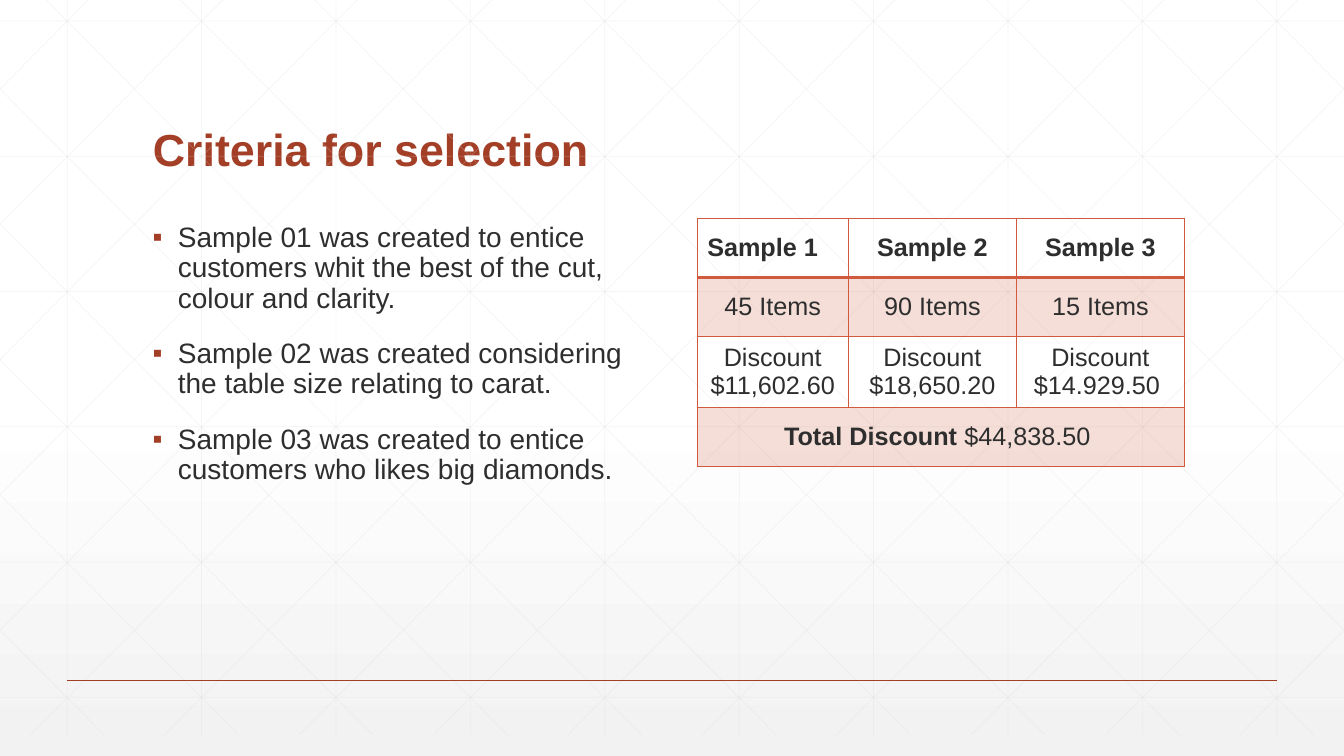
from lxml import etree
from pptx import Presentation
from pptx import util as u
from pptx.dml.color import RGBColor
from pptx.enum import shapes, text
from pptx.oxml import ns

UNIT = u.Inches(1) // 12
COLUMNS, ROWS = 160, 90
FONT = "Arial"
COLORS = {"rust": "A43F27", "coral": "D15A3E", "ink": "2D2E2D",
          "lattice": "D9D9D9", "white": "FFFFFF", "mist": "F2F2F2"}
TITLE = "Criteria for selection"
CRITERIA = [
    "Sample 01 was created to entice customers whit the best of the cut, colour and clarity.",
    "Sample 02 was created considering the table size relating to carat.",
    "Sample 03 was created to entice customers who likes big diamonds.",
]
SAMPLES = [
    ["Sample 1", "Sample 2", "Sample 3"],
    ["45 Items", "90 Items", "15 Items"],
    ["Discount\n$11,602.60", "Discount\n$18,650.20", "Discount\n$14.929.50 "],
]
TOTAL = [("Total Discount ", True), ("$44,838.50 ", False)]


def grid(*values):
    return [u.Emu(round(v * UNIT)) for v in values]


def apply(target, values):
    for name, value in values.items():
        setattr(target, name, value)


def child(parent, tag, **attrs):
    return etree.SubElement(parent, ns.qn(tag), {k: str(v) for k, v in attrs.items()})


def add_color(parent, name, alpha=100):
    color = child(parent, "a:srgbClr", val=COLORS[name])
    if alpha < 100:
        child(color, "a:alpha", val=alpha * 1000)


def write(p, content, size, color, bold=False):
    for i, line in enumerate(content.split("\n")):
        if i:
            p.add_line_break()
        r = p.add_run()
        r.text = line
        apply(r.font, {"name": FONT, "size": u.Pt(size), "bold": bold})
        r.font.color.rgb = RGBColor.from_string(COLORS[color])


def add_line(parent, start, end, color, width, alpha=100):
    line = parent.add_connector(shapes.MSO_CONNECTOR.STRAIGHT, *grid(*start, *end))
    line.line.width = u.Pt(width)
    fill = child(line.line._get_or_add_ln(), "a:solidFill")
    add_color(fill, color, alpha)
    child(line._element.spPr, "a:effectLst")


def add_background(s):
    fill = s.background.fill
    fill.gradient()
    fill.gradient_angle = 270
    stops = next(s._element.iter(ns.qn("a:gsLst")))
    for stop in list(stops):
        stops.remove(stop)
    for position, color, alpha in ((0, "white", 100), (53, "white", 100), (100, "mist", 65)):
        add_color(child(stops, "a:gs", pos=position * 1000), color, alpha)


def add_lattice(s, left, top, width, height, pitch=16):
    right, bottom = left + width, top + height
    lines = []
    for i in range(10):
        x = left + pitch * (i + 0.5)
        lines.append(((x, top), (x, bottom)))
    for i in range(6):
        y = top + 5 + 16.1 * i
        lines.append(((left, y), (right, y)))
    run = 89.4
    for i in range(-5, 10):
        offset = 3 + pitch * i
        first, last = max(0, -offset / run), min(1, (width - offset) / run)
        ends = [(offset + run * t, top + height * t) for t in (first, last)]
        lines.append([(left + x, y) for x, y in ends])
        lines.append([(right - x, y) for x, y in ends])
    group = s.shapes.add_group_shape()
    for start, end in lines:
        add_line(group.shapes, start, end, "lattice", 0.5, 25)


def add_title(s, *box):
    title = s.shapes.title
    apply(title, dict(zip(("left", "top", "width", "height"), grid(*box))))
    tf = title.text_frame
    apply(tf, {"vertical_anchor": text.MSO_ANCHOR.BOTTOM, "word_wrap": True,
               "auto_size": text.MSO_AUTO_SIZE.NONE})
    p = tf.paragraphs[0]
    apply(p, {"alignment": text.PP_ALIGN.LEFT, "line_spacing": 0.9})
    write(p, TITLE, 32, "rust", True)


def add_criteria(s, *box):
    tf = s.shapes.add_textbox(*grid(*box)).text_frame
    tf.word_wrap = True
    for i, criterion in enumerate(CRITERIA):
        p = tf.add_paragraph() if i else tf.paragraphs[0]
        apply(p, {"line_spacing": 0.9, "space_before": u.Pt(18)})
        pPr = p._p.get_or_add_pPr()
        indent = u.Inches(0.25)
        pPr.set("marL", str(indent))
        pPr.set("indent", str(-indent))
        add_color(child(pPr, "a:buClr"), "rust")
        child(pPr, "a:buFont", typeface=FONT)
        child(pPr, "a:buChar", char="▪")
        write(p, criterion, 20, "ink")


def style_cell(cell, row):
    tcPr = cell._tc.get_or_add_tcPr()
    widths = {"L": 1, "R": 1, "T": 2 if row == 1 else 1, "B": 2 if row == 0 else 1}
    for side, width in widths.items():
        border = child(tcPr, "a:ln" + side, w=u.Pt(width))
        add_color(child(border, "a:solidFill"), "coral")
    if row % 2:
        add_color(child(tcPr, "a:solidFill"), "coral", 20)
    else:
        cell.fill.background()
    cell.vertical_anchor = text.MSO_ANCHOR.MIDDLE


def add_samples(s, left, top, width, height):
    row_count, column_count = len(SAMPLES) + 1, len(SAMPLES[0])
    table = s.shapes.add_table(row_count, column_count, *grid(left, top, width, height)).table
    apply(table, {"first_row": False, "horz_banding": False})
    for column, share in zip(table.columns, (18, 20, 20)):
        column.width = grid(width * share / 58)[0]
    for r, row in enumerate(table.rows):
        row.height = grid(height / row_count)[0]
        for cell in row.cells:
            style_cell(cell, r)
    for r, values in enumerate(SAMPLES):
        for c, value in enumerate(values):
            p = table.cell(r, c).text_frame.paragraphs[0]
            p.alignment = text.PP_ALIGN.CENTER if r or c else text.PP_ALIGN.LEFT
            write(p, value, 18, "ink", r == 0)
    total = table.cell(row_count - 1, 0)
    total.merge(table.cell(row_count - 1, column_count - 1))
    p = total.text_frame.paragraphs[0]
    p.alignment = text.PP_ALIGN.CENTER
    for content, bold in TOTAL:
        write(p, content, 18, "ink", bold)


prs = Presentation()
prs.slide_width, prs.slide_height = grid(COLUMNS, ROWS)
s = prs.slides.add_slide(prs.slide_layouts[5])
add_background(s)
add_lattice(s, 0, -2.5, COLUMNS, ROWS)
add_line(s.shapes, (8, 81), (152, 81), "rust", 1)
add_title(s, 17, 6.6, 126, 15)
add_criteria(s, 17, 26, 60, 50)
add_samples(s, 83, 26, 58, 28.2)
prs.save("out.pptx")
